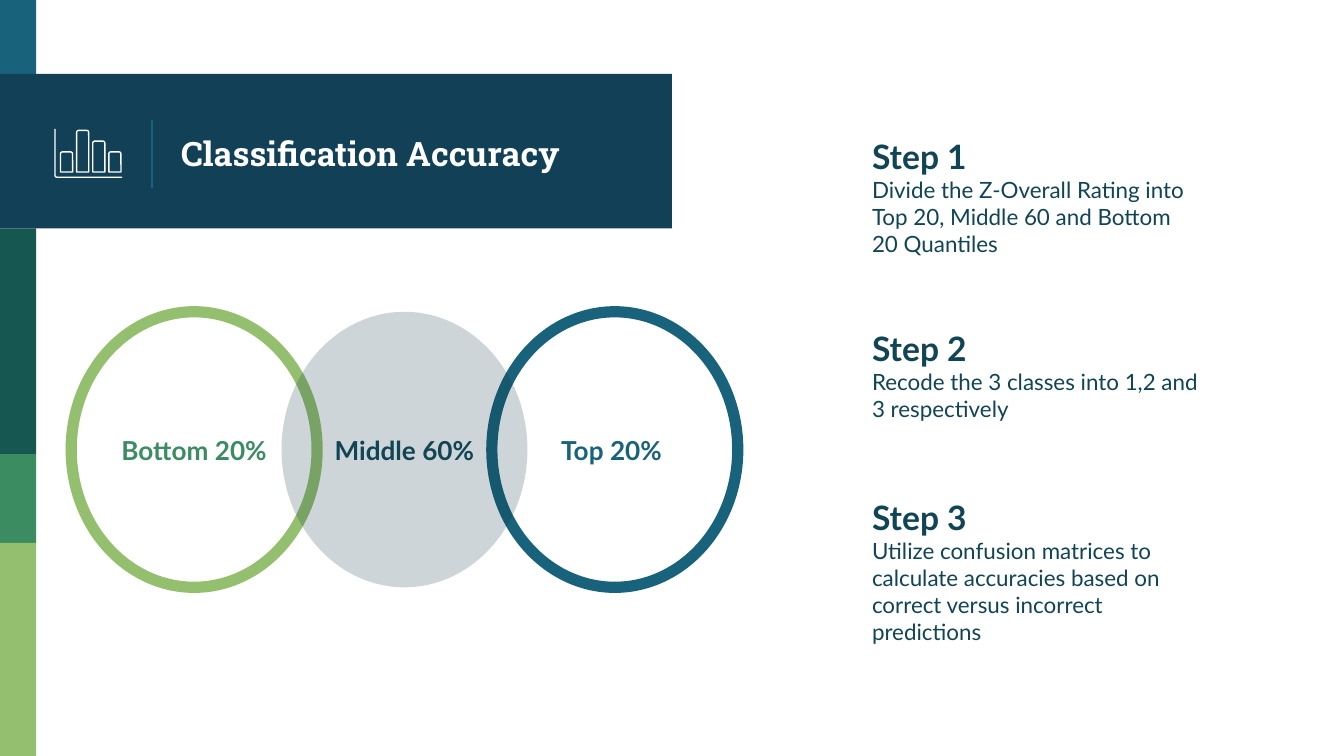
from dataclasses import dataclass

from lxml.etree import SubElement
from pptx import Presentation
from pptx.dml.color import RGBColor
from pptx.enum.shapes import MSO_CONNECTOR, MSO_SHAPE
from pptx.enum.text import MSO_ANCHOR, PP_ALIGN
from pptx.oxml.ns import qn
from pptx.util import Inches, Pt


@dataclass(frozen=True)
class Theme:
    navy: str = "124057"
    blue: str = "18637B"
    forest: str = "165751"
    green: str = "3B8D61"
    lime: str = "94BF6E"
    ink: str = "114454"
    shade: str = "0E3142"
    white: str = "FFFFFF"
    heading_font: str = "Roboto Slab"
    body_font: str = "Lato"
    heading_size: int = 18
    label_size: int = 14
    body_size: int = 12
    thin: float = 0.75
    ring: float = 6


THEME = Theme()
WIDTH = 10
HEIGHT = WIDTH * 9 / 16

TITLE = "Classification Accuracy"
BANDS = [
    (0, 0.58, 0.27, THEME.blue),
    (0.55, 1.7, 5, THEME.navy),
    (1.7, 3.38, 0.27, THEME.forest),
    (3.38, 4.04, 0.27, THEME.green),
    (4.04, HEIGHT, 0.27, THEME.lime),
]
BAR_HEIGHTS = [0.15, 0.31, 0.23, 0.15]
AXIS = [(0.41, 0.96), (0.41, 1.31), (0.42, 1.32), (0.91, 1.32)]
CLASSES = [
    (0, "Bottom 20%", THEME.green, {"line": THEME.lime, "weight": THEME.ring}),
    (2, "Top 20% ", THEME.blue, {"line": THEME.blue, "weight": THEME.ring}),
    (1, "Middle 60%", THEME.ink, {"fill": THEME.shade, "alpha": 20}),
]
STEPS = [
    (0.91, "Step 1", "Divide the Z-Overall Rating into Top 20, Middle 60 and Bottom 20 Quantiles"),
    (2.34, "Step 2", "Recode the 3 classes into 1,2 and 3 respectively"),
    (3.6, "Step 3", "Utilize confusion matrices to calculate accuracies based on "
                    "correct versus incorrect predictions"),
]


def paint(shape, fill=None, line=None, weight=THEME.thin, alpha=None):
    shape.shadow.inherit = False
    if fill:
        shape.fill.solid()
        shape.fill.fore_color.rgb = RGBColor.from_string(fill)
        if alpha:
            color = shape.fill._xPr.find(qn("a:solidFill"))[0]
            SubElement(color, qn("a:alpha")).set("val", str(alpha * 1000))
    else:
        shape.fill.background()
    if line:
        shape.line.color.rgb = RGBColor.from_string(line)
        shape.line.width = Pt(weight)
    else:
        shape.line.fill.background()


def add_part(slide, preset, box, **style):
    part = slide.shapes.add_shape(preset, *map(Inches, box))
    paint(part, **style)
    return part


def write(frame, text, size=THEME.body_size, color=THEME.ink, font=THEME.body_font,
          bold=False, align=PP_ALIGN.LEFT, anchor=MSO_ANCHOR.TOP, wrap=True, new=False):
    frame.word_wrap = wrap
    frame.vertical_anchor = anchor
    frame.margin_left = frame.margin_right = Inches(0.1)
    frame.margin_top = frame.margin_bottom = Inches(0.1)
    paragraph = frame.add_paragraph() if new else frame.paragraphs[0]
    paragraph.alignment = align
    run = paragraph.add_run()
    run.text = text
    run.font.size = Pt(size)
    run.font.name = font
    run.font.bold = bold
    run.font.color.rgb = RGBColor.from_string(color)


def add_header(slide):
    for top, bottom, width, color in BANDS:
        add_part(slide, MSO_SHAPE.RECTANGLE, (0, top, width, bottom - top), fill=color)
    divider = slide.shapes.add_connector(
        MSO_CONNECTOR.STRAIGHT, Inches(1.13), Inches(0.89), Inches(1.13), Inches(1.4))
    divider.line.color.rgb = RGBColor.from_string(THEME.blue)
    divider.line.width = Pt(THEME.thin)
    SubElement(divider._element.spPr, qn("a:effectLst"))
    title = slide.shapes.add_textbox(*map(Inches, (1.25, 0.58, 3.51, 1.12)))
    write(title.text_frame, TITLE, size=THEME.heading_size, color=THEME.white,
          font=THEME.heading_font, bold=True, anchor=MSO_ANCHOR.MIDDLE)


def add_chart_icon(slide):
    start, *rest = [(Inches(x), Inches(y)) for x, y in AXIS]
    outline = slide.shapes.build_freeform(*start)
    outline.add_line_segments(rest, close=False)
    paint(outline.convert_to_shape(), line=THEME.white)
    left, pitch, width, base = 0.45, 0.12, 0.09, 1.28
    for index, height in enumerate(BAR_HEIGHTS):
        add_part(slide, MSO_SHAPE.ROUND_2_SAME_RECTANGLE,
                 (left + index * pitch, base - height, width, height), line=THEME.white)


def add_classes(slide):
    left, pitch, top, width, height = 0.53, (3.66 - 0.53) / 2, 2.32, 1.83, 2.05
    for position, label, color, style in CLASSES:
        oval = add_part(slide, MSO_SHAPE.OVAL,
                        (left + position * pitch, top, width, height), **style)
        write(oval.text_frame, label, size=THEME.label_size, color=color, bold=True,
              align=PP_ALIGN.CENTER, anchor=MSO_ANCHOR.MIDDLE, wrap=False)


def add_steps(slide):
    for top, heading, detail in STEPS:
        step = slide.shapes.add_textbox(*map(Inches, (6.39, top, 2.64, 1.43)))
        write(step.text_frame, heading, size=THEME.heading_size, bold=True)
        write(step.text_frame, detail, new=True)


def main():
    """Build the classification accuracy slide."""
    deck = Presentation()
    deck.slide_width, deck.slide_height = Inches(WIDTH), Inches(HEIGHT)
    slide = deck.slides.add_slide(deck.slide_layouts[6])
    add_header(slide)
    add_chart_icon(slide)
    add_classes(slide)
    add_steps(slide)
    deck.save("out.pptx")


if __name__ == "__main__":
    main()
